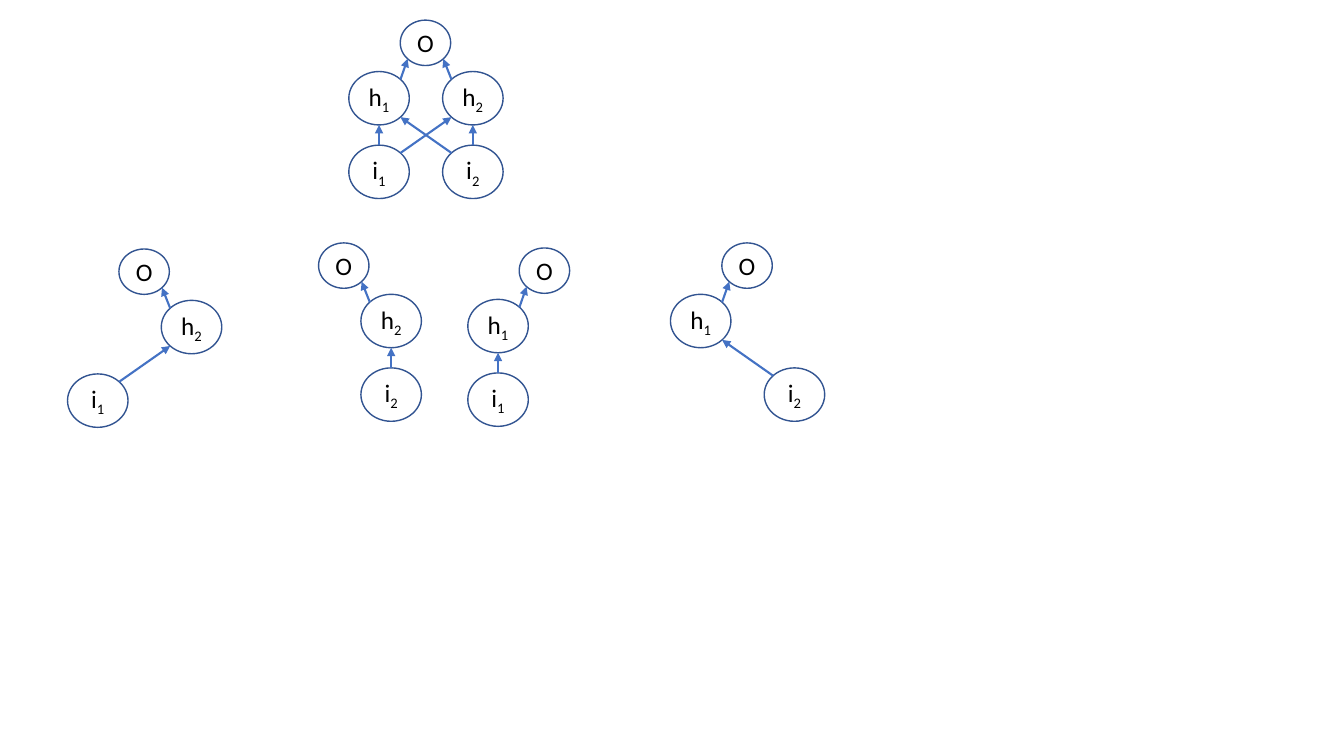
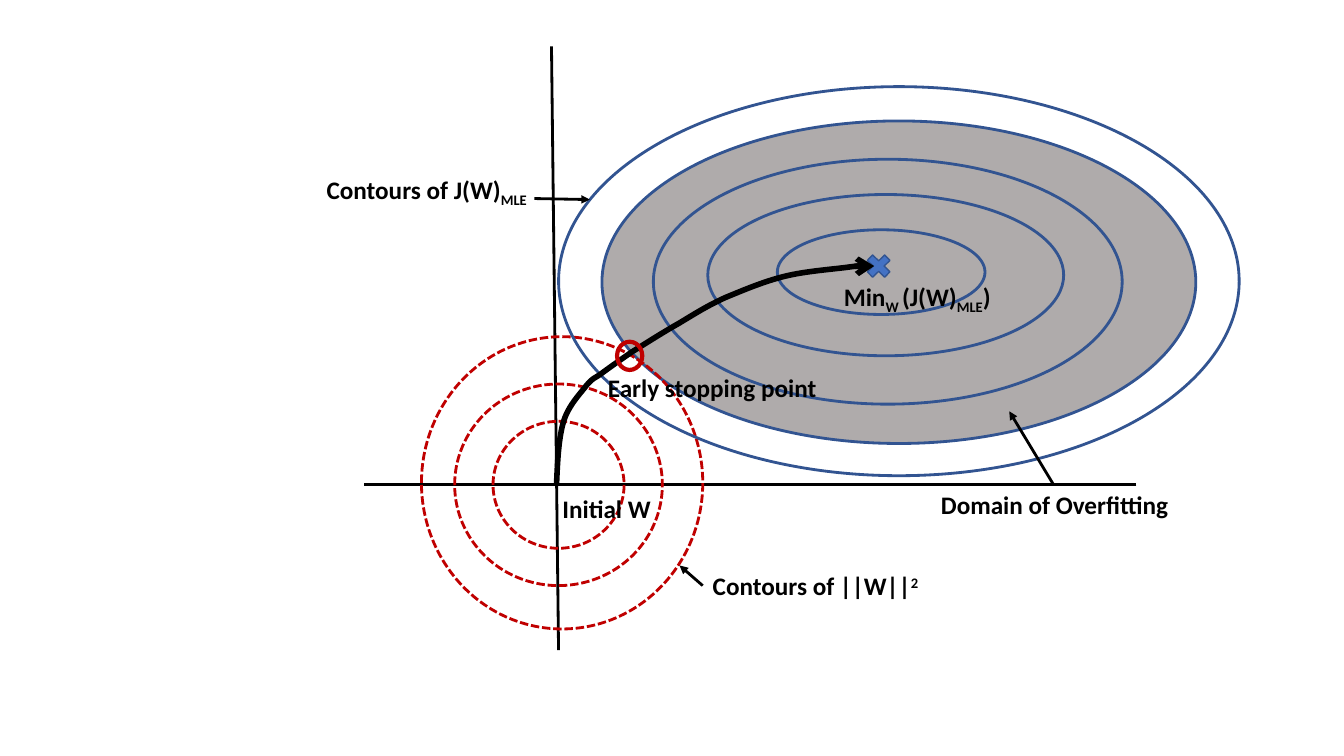
import lxml.etree
import pptx
import pptx.dml.color
import pptx.enum.dml
import pptx.enum.shapes
import pptx.enum.text
import pptx.oxml.ns
import pptx.util

qn = pptx.oxml.ns.qn
SHAPE = pptx.enum.shapes.MSO_SHAPE
STRAIGHT = pptx.enum.shapes.MSO_CONNECTOR.STRAIGHT
DASH = pptx.enum.dml.MSO_LINE.SQUARE_DOT
CENTER = pptx.enum.text.PP_ALIGN.CENTER
LEFT = pptx.enum.text.PP_ALIGN.LEFT
GROW = pptx.enum.text.MSO_AUTO_SIZE.SHAPE_TO_FIT_TEXT
inch = pptx.util.Inches

COLOR = {name: pptx.dml.color.RGBColor.from_string(value) for name, value in {
    "outline": "325491", "accent": "4472C4", "ink": "000000",
    "penalty": "C00000", "overfit": "AFABAB"}.items()}
THEME = {
    "font": {"name": "Calibri", "size": pptx.util.Pt(18)},
    # Each line: colour, width in points, dash, arrowhead
    "node": ("outline", 1, None, None),
    "edge": ("accent", 1.5, None, "triangle"),
    "axis": ("ink", 2, None, None),
    "pointer": ("ink", 2, None, "triangle"),
    "trajectory": ("ink", 4, None, "arrow"),
    "loss": ("outline", 2, None, None),
    "norm": ("penalty", 2, DASH, None),
    "stop": ("penalty", 3, None, None),
}
SUBSCRIPT, SUPERSCRIPT = -25000, 30000


def style_shape(shape, style, fill=None):
    """Apply a theme line and an optional fill, without a shadow."""
    color, width, dash, arrowhead = THEME[style]
    if fill:
        shape.fill.solid()
        shape.fill.fore_color.rgb = COLOR[fill]
    elif hasattr(shape, "fill"):
        shape.fill.background()
    shape.line.color.rgb = COLOR[color]
    for name, value in {"width": pptx.util.Pt(width), "dash_style": dash}.items():
        setattr(shape.line, name, value)
    properties = shape._element.spPr
    if arrowhead:
        lxml.etree.SubElement(properties.find(qn("a:ln")), qn("a:tailEnd"), type=arrowhead)
    lxml.etree.SubElement(properties, qn("a:effectLst"))


def write_text(shape, parts, alignment, frame_format, bold=False):
    """Write (text, baseline) parts as the runs of one paragraph."""
    for name, value in frame_format.items():
        setattr(shape.text_frame, name, value)
    paragraph = shape.text_frame.paragraphs[0]
    paragraph.alignment = alignment
    for text, baseline in parts:
        run = paragraph.add_run()
        run.text = text
        for name, value in {**THEME["font"], "bold": bold}.items():
            setattr(run.font, name, value)
        run.font.color.rgb = COLOR["ink"]
        if baseline:
            run._r.get_or_add_rPr().set("baseline", str(baseline))


presentation = pptx.Presentation()
presentation.slide_width, presentation.slide_height = inch(13.33), inch(7.5)
blank_layout = presentation.slide_layouts[6]

# Slide 1: a network and its four input-to-output paths
slide = presentation.slides.add_slide(blank_layout)
UNIT, OUTPUT = (0.6, 0.53), (0.5, 0.45)
COLUMN, HIDDEN_ROW, INPUT_ROW = 0.93, 0.51, 1.24
NODES = {"O": (0.51, 0, OUTPUT)}
for number in (1, 2):
    for letter, row in (("h", HIDDEN_ROW), ("i", INPUT_ROW)):
        NODES[f"{letter}{number}"] = ((number - 1) * COLUMN, row, UNIT)
NODE_FRAME = {"word_wrap": False, "vertical_anchor": pptx.enum.text.MSO_ANCHOR.MIDDLE}
DIAGONAL = 0.125 ** 0.5

networks = [
    (3.46, 0.2, ["h1 O", "h2 O", "i1 h1", "i2 h2", "i2 h1", "i1 h2"]),
    (0.67, 2.47, ["h2 O", "i1 h2"]),
    (2.65, 2.41, ["h2 O", "i2 h2"]),
    (4.64, 2.46, ["h1 O", "i1 h1"]),
    (6.65, 2.41, ["h1 O", "i2 h1"]),
]
for left, top, edges in networks:
    used = {name for edge in edges for name in edge.split()}
    centers = {}
    for name, (column, row, (width, height)) in NODES.items():
        if name not in used:
            continue
        centers[name] = (left + column + width / 2, top + row + height / 2)
        node = slide.shapes.add_shape(
            SHAPE.OVAL, *map(inch, (left + column, top + row, width, height)))
        style_shape(node, "node")
        parts = [(name[0], 0)] + [(digit, SUBSCRIPT) for digit in name[1:]]
        write_text(node, parts, CENTER, NODE_FRAME)
    for edge in edges:
        source, target = edge.split()
        shift = centers[target][0] - centers[source][0]
        side = 0 if abs(shift) < 0.01 else shift / abs(shift)
        rise = DIAGONAL if side else 0.5
        ends = []
        for name, direction in ((source, 1), (target, -1)):
            width, height = NODES[name][2]
            ends += [centers[name][0] + direction * side * DIAGONAL * width,
                     centers[name][1] - direction * rise * height]
        style_shape(slide.shapes.add_connector(STRAIGHT, *map(inch, ends)), "edge")

# Slide 2: early stopping among the loss and norm contours
slide = presentation.slides.add_slide(blank_layout)
overfitting_domain = slide.shapes.add_shape(SHAPE.OVAL, *map(inch, (5.97, 1.2, 5.89, 3.2)))
style_shape(overfitting_domain, "loss", "overfit")
for ends in [(5.47, 0.46, 5.54, 6.45), (11.27, 4.81, 3.61, 4.81)]:
    style_shape(slide.shapes.add_connector(STRAIGHT, *map(inch, ends)), "axis")

contours = [
    ("norm", (4.89, 4.18, 1.3, 1.26)),
    ("norm", (4.51, 3.81, 2.06, 2)),
    ("norm", (4.18, 3.34, 2.79, 2.9)),
    ("loss", (7.71, 2.28, 2.06, 0.84)),
    ("loss", (7.02, 1.93, 3.53, 1.6)),
    ("loss", (6.48, 1.58, 4.65, 2.43)),
    ("loss", (5.54, 0.86, 6.75, 3.86)),
]
for style, box in contours:
    style_shape(slide.shapes.add_shape(SHAPE.OVAL, *map(inch, box)), style)

minimum = slide.shapes.add_shape(SHAPE.MATH_MULTIPLY, *map(inch, (8.55, 2.48, 0.33, 0.32)))
style_shape(minimum, "node", "accent")

# Start point, then two controls and an end point for each cubic curve
trajectory_points = [
    (5.52, 4.8),
    (5.53, 4.57), (5.54, 4.35), (5.59, 4.18),
    (5.64, 4.02), (5.76, 3.9), (5.82, 3.82),
    (5.89, 3.74), (5.89, 3.76), (5.96, 3.71),
    (6.04, 3.65), (6.14, 3.58), (6.27, 3.49),
    (6.4, 3.41), (6.57, 3.3), (6.73, 3.21),
    (6.88, 3.12), (7.02, 3.03), (7.2, 2.95),
    (7.37, 2.88), (7.58, 2.79), (7.79, 2.74),
    (7.99, 2.69), (8.28, 2.67), (8.42, 2.65),
    (8.57, 2.63), (8.63, 2.64), (8.67, 2.64),
]
vertices = [(inch(x), inch(y)) for x, y in trajectory_points]
builder = slide.shapes.build_freeform(*vertices[0])
builder.add_line_segments(vertices[1:], close=False)
trajectory = builder.convert_to_shape()
segments = list(trajectory._element.iter(qn("a:lnTo")))
for first in range(0, len(segments), 3):
    curve = lxml.etree.Element(qn("a:cubicBezTo"))
    segments[first].addprevious(curve)
    for segment in segments[first:first + 3]:
        curve.append(segment[0])
        segment.getparent().remove(segment)
style_shape(trajectory, "trajectory")

stopping_point = slide.shapes.add_shape(SHAPE.OVAL, *map(inch, (6.12, 3.39, 0.25, 0.28)))
style_shape(stopping_point, "stop")

LABEL_WIDTH, LABEL_HEIGHT = 2.38, 0.4
labels = [
    (8.27, 2.74, LABEL_WIDTH, LEFT, [("Min", 0), ("W ", SUBSCRIPT), ("(J(W)", 0),
                                     ("MLE", SUBSCRIPT), (")", 0)]),
    (5.48, 4.84, LABEL_WIDTH, LEFT, [("Initial W", 0)]),
    (5.93, 3.64, LABEL_WIDTH, LEFT, [("Early stopping point", 0)]),
    (6.97, 5.61, LABEL_WIDTH, LEFT, [("Contours of ||W||", 0), ("2", SUPERSCRIPT)]),
    (3.14, 1.68, LABEL_WIDTH, LEFT, [("Contours of J(W)", 0), ("MLE", SUBSCRIPT)]),
    (9.06, 4.81, 2.8, CENTER, [("Domain of Overfitting", 0)]),
]
for left, top, width, alignment, parts in labels:
    label = slide.shapes.add_textbox(*map(inch, (left, top, width, LABEL_HEIGHT)))
    write_text(label, parts, alignment, {"word_wrap": True, "auto_size": GROW}, bold=True)

for ends in [(6.97, 5.81, 6.74, 5.61), (5.3, 1.97, 5.85, 1.98), (10.45, 4.81, 10.01, 4.08)]:
    style_shape(slide.shapes.add_connector(STRAIGHT, *map(inch, ends)), "pointer")

presentation.save("out.pptx")
